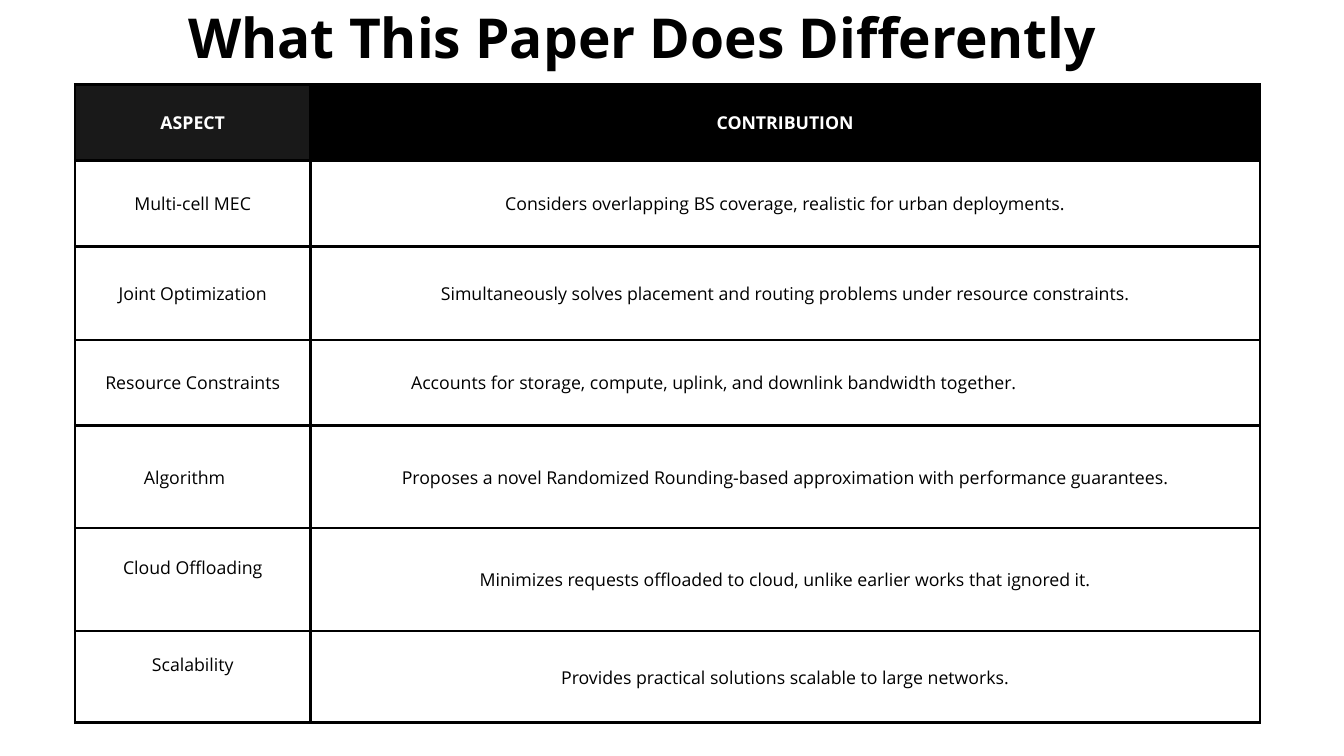
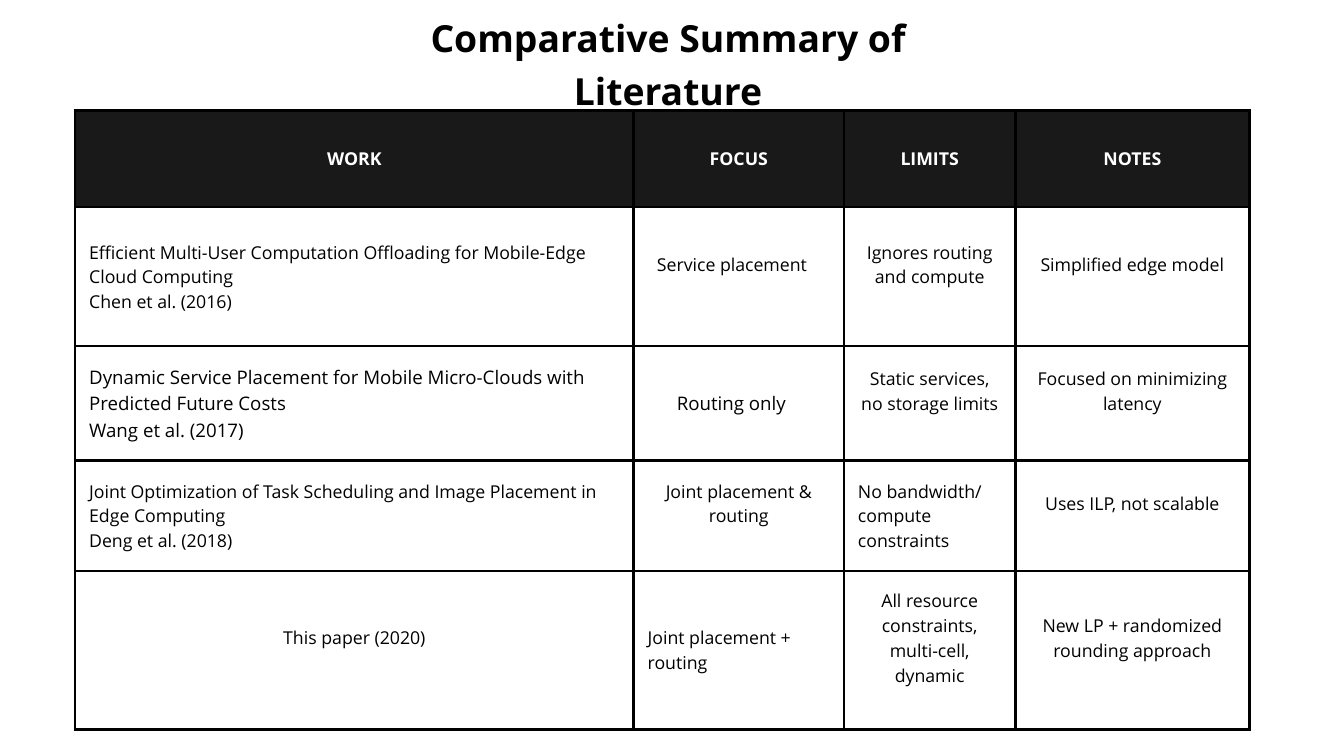
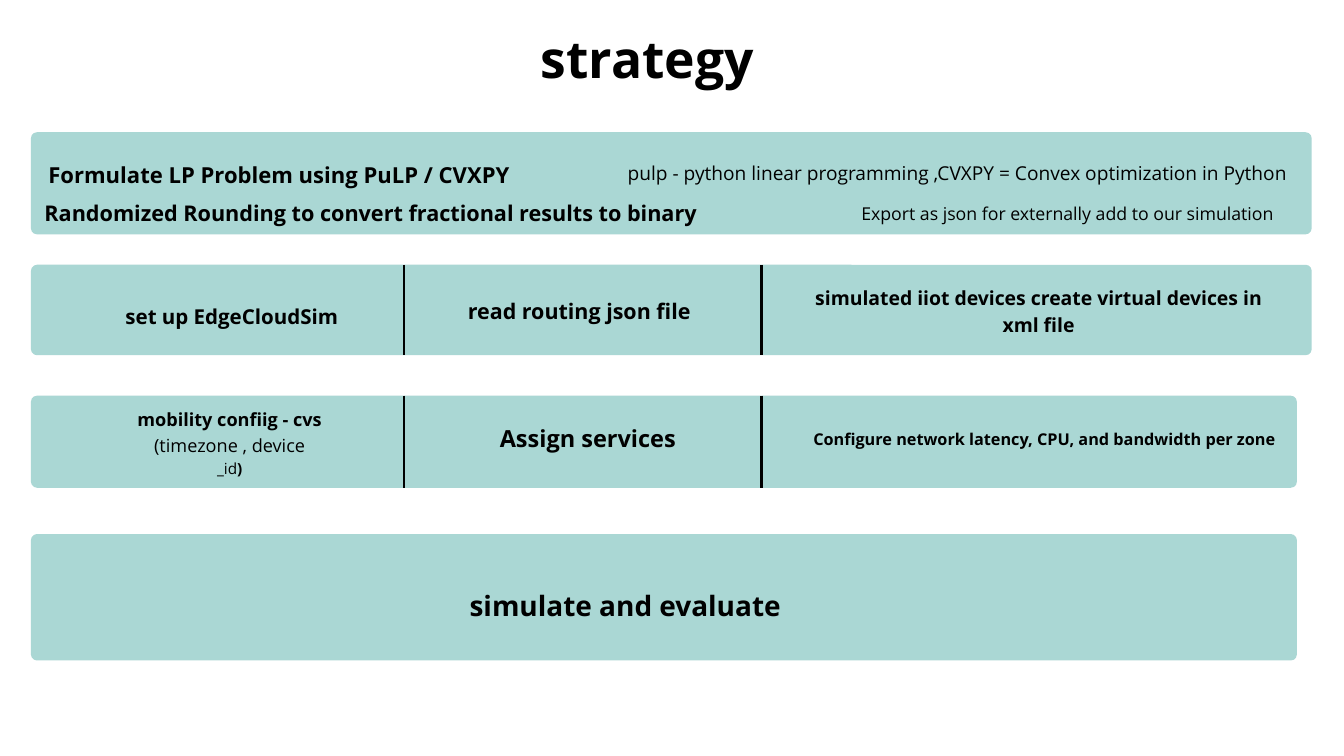
from lxml import etree
from pptx import Presentation
from pptx import util as u
from pptx.dml.color import RGBColor
from pptx.enum import shapes, text
from pptx.oxml.ns import qn

FONT = "Open Sans"
BLACK, WHITE, CHARCOAL, TEAL = "000000", "FFFFFF", "191919", "AAD7D4"
LEADING = 1.4
CELL_INSET = 0.53
CELL_SIZE = 19
RAISE = 0.94
CORNER = 0.23
DIVIDERS = (14.1, 27.61)
CENTER, LEFT = text.PP_ALIGN.CENTER, text.PP_ALIGN.LEFT


def rgb(value):
    """Turn a hex string into a colour."""
    return RGBColor.from_string(value)


def write(p, words, size=CELL_SIZE, bold=False, color=BLACK, align=CENTER):
    """Append one formatted run to a paragraph."""
    p.alignment = align
    p.line_spacing = u.Pt(round(size * LEADING, 1))
    r = p.add_run()
    r.text = words
    r.font.name = FONT
    r.font.size = u.Pt(size)
    r.font.bold = bold
    r.font.color.rgb = rgb(color)


def write_lines(tf, words, **fmt):
    """Write each line of the text as its own paragraph."""
    for i, line in enumerate(words.split("\n")):
        write(tf.add_paragraph() if i else tf.paragraphs[0], line, **fmt)


def bare_frame(sp):
    """Return the shape's text frame, wrapping and without insets."""
    tf = sp.text_frame
    tf.word_wrap = True
    tf.auto_size = text.MSO_AUTO_SIZE.NONE
    tf.vertical_anchor = text.MSO_ANCHOR.TOP
    tf.margin_left = tf.margin_right = tf.margin_top = tf.margin_bottom = 0
    return tf


def add_titled_slide(prs, title, box, size):
    """Add a slide whose title placeholder fills the given box."""
    s = prs.slides.add_slide(prs.slide_layouts[5])
    sp = s.shapes.title
    sp.left, sp.top, sp.width, sp.height = map(u.Cm, box)
    write_lines(bare_frame(sp), title, size=size, bold=True)
    return s


def cell_text(words, indent=None, raised=False, size=CELL_SIZE):
    """Describe a body cell: centred, or left aligned when indented."""
    return dict(words=words, indent=indent, raised=raised, size=size)


def set_borders(cell, width=3):
    """Draw a black line on every side of a cell."""
    tc_pr = cell._tc.get_or_add_tcPr()
    for side in ("a:lnL", "a:lnR", "a:lnT", "a:lnB"):
        ln = etree.SubElement(tc_pr, qn(side), w=str(u.Pt(width)))
        fill = etree.SubElement(ln, qn("a:solidFill"))
        etree.SubElement(fill, qn("a:srgbClr"), val=BLACK)


def format_cell(cell, words, indent=None, raised=False, size=CELL_SIZE,
                fill=None):
    """Fill one table cell; a fill colour makes it a header."""
    cell.vertical_anchor = text.MSO_ANCHOR.MIDDLE
    cell.margin_top = cell.margin_right = u.Cm(CELL_INSET)
    cell.margin_left = u.Cm(CELL_INSET + (indent or 0))
    cell.margin_bottom = u.Cm(CELL_INSET + (RAISE if raised else 0))
    set_borders(cell)
    if fill:
        cell.fill.solid()
        cell.fill.fore_color.rgb = rgb(fill)
    else:
        cell.fill.background()
    write_lines(cell.text_frame, words, size=size, bold=bool(fill),
                color=WHITE if fill else BLACK,
                align=CENTER if indent is None else LEFT)


def add_grid(s, left, top, widths, heights, headers, rows):
    """Add a bordered table with a dark header row."""
    frame = s.shapes.add_table(len(heights), len(widths), u.Cm(left), u.Cm(top),
                               u.Cm(sum(widths)), u.Cm(sum(heights)))
    table = frame.table
    table.first_row = table.horz_banding = False
    for column, width in zip(table.columns, widths):
        column.width = u.Cm(width)
    for row, height in zip(table.rows, heights):
        row.height = u.Cm(height)
    for c, (words, fill) in enumerate(headers):
        format_cell(table.cell(0, c), words, fill=fill)
    for r, row in enumerate(rows, 1):
        for c, body in enumerate(row):
            format_cell(table.cell(r, c), **body)


def add_label(s, words, left, top, width, size, bold=True):
    """Add a centred text box as tall as its lines."""
    height = size * LEADING * (words.count("\n") + 1) * 2.54 / 72
    sp = s.shapes.add_textbox(u.Cm(left), u.Cm(top), u.Cm(width),
                              u.Cm(round(height, 2)))
    tf = bare_frame(sp)
    if words:
        write_lines(tf, words, size=size, bold=bold)
    return tf


def add_band(s, box, labels, dividers=()):
    """Add a rounded band with labels and dividers placed relative to it."""
    left, top, width, height = box
    sp = s.shapes.add_shape(shapes.MSO_SHAPE.ROUNDED_RECTANGLE,
                            *map(u.Cm, box))
    sp.adjustments[0] = CORNER / height
    sp.shadow.inherit = False
    sp.fill.solid()
    sp.fill.fore_color.rgb = rgb(TEAL)
    sp.line.fill.background()
    for words, x, y, *fmt in labels:
        add_label(s, words, left + x, top + y, *fmt)
    for x in dividers:
        line = s.shapes.add_connector(
            shapes.MSO_CONNECTOR.STRAIGHT, u.Cm(left + x), u.Cm(top),
            u.Cm(left + x), u.Cm(top + height))
        line.line.color.rgb = rgb(BLACK)
        line.line.width = u.Pt(3)
        etree.SubElement(line._element.spPr, qn("a:effectLst"))


def add_mobility_note(s, left, top):
    """Add the mobility label, which mixes weights and sizes."""
    tf = bare_frame(s.shapes.add_textbox(u.Cm(left), u.Cm(top), u.Cm(10.11),
                                         u.Cm(2.69)))
    p = tf.paragraphs[0]
    write(p, "mobility confiig - cvs ", size=19.4, bold=True)
    write(p, "(timezone , device", size=19.4)
    p = tf.add_paragraph()
    write(p, "_id", size=16.4)
    write(p, ")", size=16.4, bold=True)


def contribution_slide(prs):
    """Build the table of contributions."""
    s = add_titled_slide(prs, "What This Paper Does Differently",
                         (6.83, -0.28, 34.93, 2.79), 59)
    t = cell_text
    rows = [
        (t("Multi-cell MEC"),
         t("Considers overlapping BS coverage, realistic for urban deployments.")),
        (t("Joint Optimization"),
         t("Simultaneously solves placement and routing problems under resource constraints.")),
        (t("Resource Constraints"),
         t("Accounts for storage, compute, uplink, and downlink bandwidth together.", indent=3.28)),
        (t("Algorithm", indent=2.07),
         t("Proposes a novel Randomized Rounding-based approximation with performance guarantees.")),
        (t("Cloud Offloading", raised=True),
         t("Minimizes requests offloaded to cloud, unlike earlier works that ignored it.")),
        (t("Scalability", raised=True),
         t("Provides practical solutions scalable to large networks.")),
    ]
    add_grid(s, 2.84, 3.2, (8.89, 35.89),
             (2.87, 3.25, 3.53, 3.23, 3.89, 3.89, 3.45),
             [("ASPECT", CHARCOAL), ("CONTRIBUTION", BLACK)], rows)


def literature_slide(prs):
    """Build the table that compares earlier works."""
    s = add_titled_slide(prs, "Comparative Summary of\nLiterature",
                         (10.8, 0.3, 28.9, 3.84), 40)
    t = cell_text
    rows = [
        (t("Efficient Multi-User Computation Offloading for Mobile-Edge Cloud Computing\n"
           "Chen et al. (2016)", indent=0),
         t("Service placement", indent=0.35, raised=True),
         t("Ignores routing and compute", raised=True),
         t("Simplified edge model", raised=True)),
        (t("Dynamic Service Placement for Mobile Micro-Clouds with Predicted Future Costs\n"
           "Wang et al. (2017)", indent=0, size=20),
         t("Routing only", indent=1.1, size=20),
         t("Static services, no storage limits", raised=True),
         t("Focused on minimizing latency", raised=True)),
        (t("Joint Optimization of Task Scheduling and Image Placement in Edge Computing\n"
           "Deng et al. (2018)", indent=0),
         t("Joint placement & routing", raised=True),
         t("No bandwidth/\ncompute constraints", indent=0),
         t("Uses ILP, not scalable", raised=True)),
        (t("This paper (2020)", raised=True),
         t("Joint placement + routing", indent=0),
         t("All resource constraints, multi-cell, dynamic", raised=True),
         t("New LP + randomized rounding approach", raised=True)),
    ]
    headers = [(h, CHARCOAL) for h in ("WORK", "FOCUS", "LIMITS", "NOTES")]
    add_grid(s, 2.84, 4.17, (21.11, 7.95, 6.48, 8.84),
             (3.66, 5.26, 4.32, 4.17, 5.99), headers, rows)


def strategy_slide(prs):
    """Build the four bands of the strategy."""
    s = add_titled_slide(prs, "strategy", (12.75, 0.64, 23.44, 2.59), 55.3)
    left, wide, narrow = 1.17, 48.41, 47.85
    add_band(s, (left, 5, wide, 3.86), [
        ("Formulate LP Problem using PuLP / CVXPY", 0.63, 0.94, 17.5, 23.6),
        ("pulp - python linear programming ,CVXPY = Convex optimization in Python",
         19.51, 0.97, 31.04, 20.5, False),
        ("Randomized Rounding to convert fractional results to binary",
         -1.91, 2.39, 29.51, 23.2),
        ("Export as json for externally add to our simulation",
         22.48, 2.52, 33.4, 19, False),
    ])
    add_band(s, (left, 10.01, wide, 3.42), [
        ("set up EdgeCloudSim", -1.81, 1.32, 18.8, 22),
        ("read routing json file", 16.4, 1.09, 8.66, 23),
        ("simulated iiot devices create virtual devices in xml file",
         29.41, 0.66, 17.35, 20.8),
    ], DIVIDERS)
    add_band(s, (left, 14.96, narrow, 3.48), [
        ("Assign services", 17.61, 0.89, 6.88, 25.2),
        ("Configure network latency, CPU, and bandwidth per zone",
         23.93, 1.14, 28.75, 17.4),
    ], DIVIDERS)
    add_mobility_note(s, left + 2.46, 15.32)
    add_band(s, (left, 20.19, narrow, 4.78),
             [("simulate and evaluate", 3.91, 1.86, 37.11, 30)])


def main():
    """Build and save the deck."""
    prs = Presentation()
    prs.slide_width, prs.slide_height = u.Cm(50.8), u.Cm(28.58)
    contribution_slide(prs)
    literature_slide(prs)
    strategy_slide(prs)
    prs.save("out.pptx")


if __name__ == "__main__":
    main()
